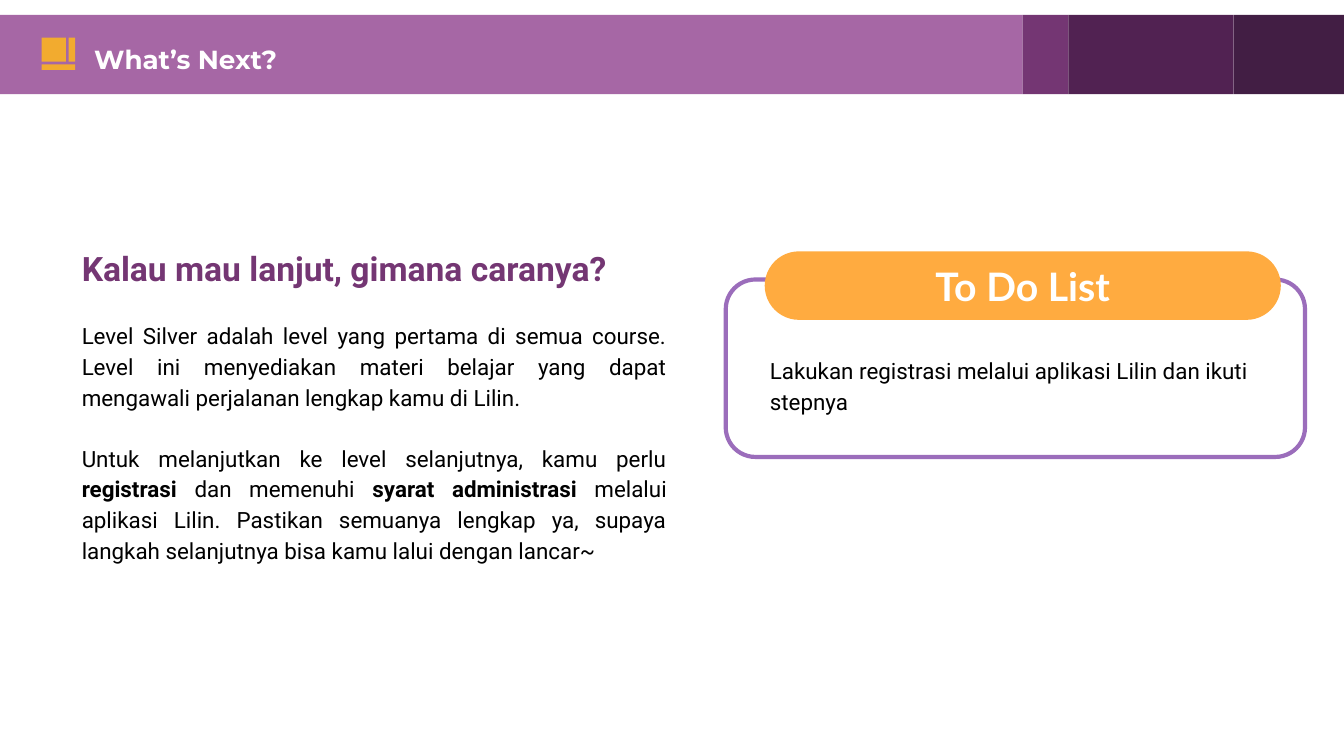
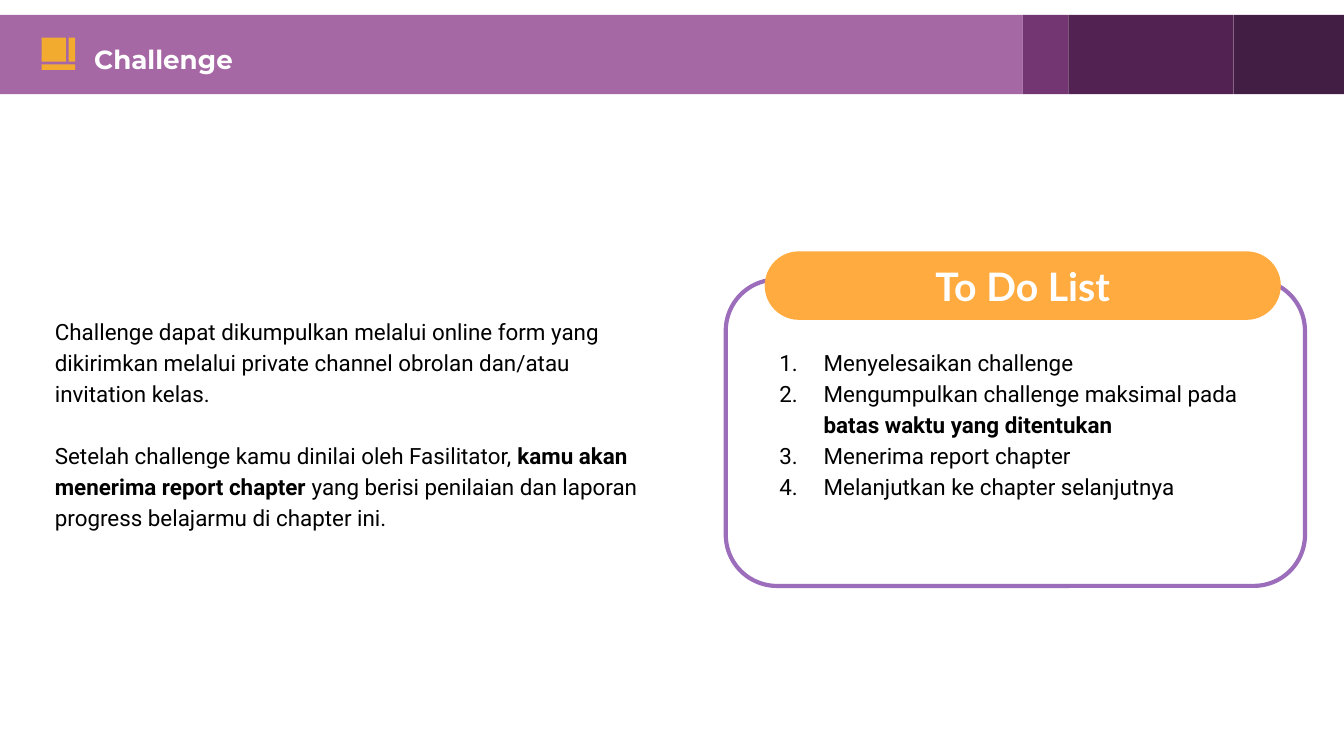
from lxml import etree
from pptx import Presentation
from pptx import util as u
from pptx.dml import color
from pptx.enum import shapes, text
from pptx.oxml import ns

COLORS = {
    "band": "A667A5", "plum": "743673", "wine": "512252", "night": "421E44",
    "mark": "F2AB2F", "pill": "FFAB40", "outline": "9B6DBB",
    "white": "FFFFFF", "black": "000000",
}
BAND_EDGES = [("band", 0), ("plum", 7.61), ("wine", 7.95), ("night", 9.18)]
SLIDE_WIDTH = 10
SLIDE_HEIGHT = SLIDE_WIDTH * 9 / 16
HEADER = (0, 0.11, SLIDE_WIDTH, 0.59)
RECT = shapes.MSO_SHAPE.RECTANGLE
ROUNDED = shapes.MSO_SHAPE.ROUNDED_RECTANGLE
ALIGN = text.PP_ALIGN
MIDDLE = text.MSO_ANCHOR.MIDDLE


def rgb(name):
    """Return the named palette colour."""
    return color.RGBColor.from_string(COLORS[name])


def add_block(slide, kind, box, fill, outline=None, radius=None):
    """Add a filled shape with an optional outline and corner radius."""
    block = slide.shapes.add_shape(kind, *map(u.Inches, box))
    block.shadow.inherit = False
    block.fill.solid()
    block.fill.fore_color.rgb = rgb(fill)
    if outline:
        block.line.color.rgb = rgb(outline)
        block.line.width = u.Pt(2.25)
    else:
        block.line.fill.background()
    if radius is not None:
        block.adjustments[0] = radius
    return block


def add_number(paragraph):
    """Give a paragraph an automatic number and a hanging indent."""
    props = paragraph._p.get_or_add_pPr()
    props.set("marL", str(u.Inches(0.5)))
    props.set("indent", str(u.Inches(-0.33)))
    tint = etree.SubElement(props, ns.qn("a:buClr"))
    etree.SubElement(tint, ns.qn("a:srgbClr"), val=COLORS["black"])
    etree.SubElement(props, ns.qn("a:buAutoNum"), type="arabicPeriod")


def write(holder, lines, size=12, font="Roboto", ink="black", bold=False,
          align=ALIGN.LEFT, spacing=1.15, gap=0, anchor=text.MSO_ANCHOR.TOP,
          inset=(0.1, 0.1), numbered=False):
    """Fill a shape with paragraphs, where ** toggles bold."""
    frame = holder.text_frame
    frame.word_wrap = True
    frame.vertical_anchor = anchor
    frame.margin_left = frame.margin_right = u.Inches(inset[0])
    frame.margin_top = frame.margin_bottom = u.Inches(inset[1])
    for index, line in enumerate(lines):
        paragraph = frame.add_paragraph() if index else frame.paragraphs[0]
        paragraph.alignment = align
        paragraph.line_spacing = spacing
        if index and gap:
            paragraph.space_before = u.Pt(gap)
        if numbered:
            add_number(paragraph)
        for part, words in enumerate(line.split("**")):
            if words:
                run = paragraph.add_run()
                run.text = words
                run.font.size = u.Pt(size)
                run.font.name = font
                run.font.bold = bold or part % 2 == 1
                run.font.color.rgb = rgb(ink)
    return frame


def add_text(slide, box, lines, **style):
    """Add a text box and write formatted lines in it."""
    return write(slide.shapes.add_textbox(*map(u.Inches, box)), lines, **style)


def add_header(slide, box, title):
    """Draw the colour bands, the block mark and the slide title."""
    left, top, width, height = box
    ends = [edge for _, edge in BAND_EDGES[1:]] + [width]
    for (fill, start), end in zip(BAND_EDGES, ends):
        add_block(slide, RECT, (left + start, top, end - start, height), fill)
    for x, y, w, h in [(0, 0, 0.18, 0.18), (0.2, 0, 0.05, 0.18), (0, 0.2, 0.25, 0.04)]:
        add_block(slide, RECT, (left + 0.31 + x, top + 0.17 + y, w, h), "mark")
    add_text(slide, (left + 0.63, top + 0.17, 7.98, 0.25), [title], size=14,
             font="Montserrat", ink="white", bold=True, spacing=1, inset=(0.07, 0.04))


def add_todo_card(slide, box, body, tasks, **style):
    """Draw the outlined card, its heading pill and the tasks inside."""
    left, top, width, height = box
    add_block(slide, ROUNDED, box, "white", outline="outline", radius=0.167)
    pill = add_block(slide, ROUNDED, (left + 0.29, top - 0.21, 3.84, 0.51), "pill", radius=0.5)
    write(pill, ["To Do List"], size=21, font="Lato", ink="white", bold=True,
          align=ALIGN.CENTER, spacing=1, anchor=MIDDLE)
    x, y, w, h = body
    add_text(slide, (left + x, top + y, w, h), tasks, **style)


def build_next_steps(slide):
    """Build the slide on how to continue to the next level."""
    add_header(slide, HEADER, "What’s Next?")
    story = add_text(slide, (0.51, 1.7, 4.55, 3.05), [
        "**Kalau mau lanjut, gimana caranya?**",
        "Level Silver adalah level yang pertama di semua course. Level ini menyediakan "
        "materi belajar yang dapat mengawali perjalanan lengkap kamu di Lilin.",
        "Untuk melanjutkan ke level selanjutnya, kamu perlu **registrasi **dan memenuhi "
        "**syarat administrasi** melalui aplikasi Lilin. Pastikan semuanya lengkap ya, "
        "supaya langkah selanjutnya bisa kamu lalui dengan lancar~",
    ], align=ALIGN.JUSTIFY, gap=16)
    heading = story.paragraphs[0].runs[0].font
    heading.size = u.Pt(18)
    heading.color.rgb = rgb("plum")
    add_todo_card(slide, (5.4, 2.08, 4.31, 1.32), (0.23, 0.3, 3.84, 0.95),
                  ["Lakukan registrasi melalui aplikasi Lilin dan ikuti stepnya"],
                  anchor=MIDDLE)


def build_challenge(slide):
    """Build the slide on handing in the challenge."""
    add_header(slide, HEADER, "Challenge")
    add_text(slide, (0.31, 2.24, 4.55, 1.96), [
        "Challenge dapat dikumpulkan melalui online form yang dikirimkan melalui "
        "private channel obrolan dan/atau invitation kelas.",
        "Setelah challenge kamu dinilai oleh Fasilitator, **kamu akan menerima report "
        "chapter** yang berisi penilaian dan laporan progress belajarmu di chapter ini.",
    ], gap=16.5)
    add_todo_card(slide, (5.4, 2.08, 4.31, 2.28), (0.13, 0.39, 4.05, 1.81), [
        "Menyelesaikan challenge",
        "Mengumpulkan challenge maksimal pada **batas waktu yang ditentukan**",
        "Menerima report chapter",
        "Melanjutkan ke chapter selanjutnya",
    ], numbered=True)


def main():
    """Build both slides and save the deck."""
    deck = Presentation()
    deck.slide_width = u.Inches(SLIDE_WIDTH)
    deck.slide_height = u.Inches(SLIDE_HEIGHT)
    for build in (build_next_steps, build_challenge):
        build(deck.slides.add_slide(deck.slide_layouts[6]))
    deck.save("out.pptx")


if __name__ == "__main__":
    main()
